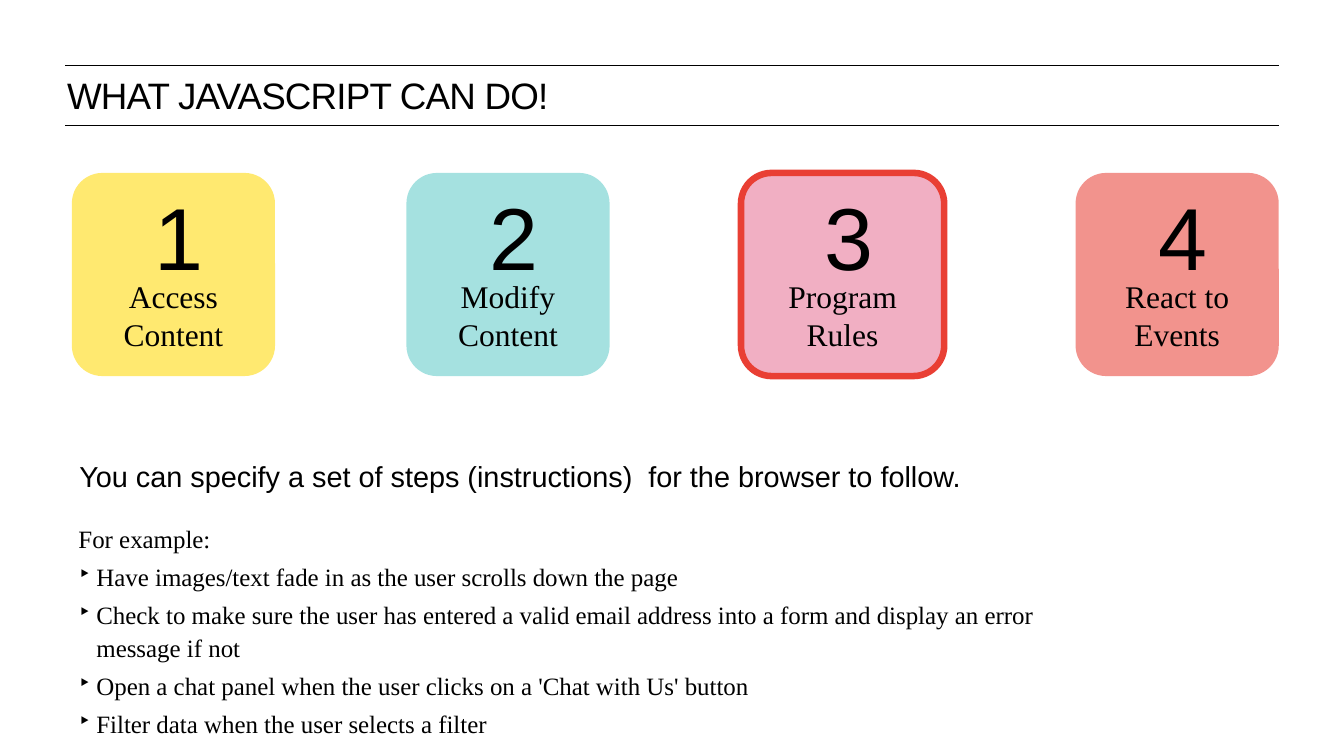
from lxml import etree
from pptx import Presentation
from pptx.dml.color import RGBColor
from pptx.enum import shapes, text
from pptx.oxml import ns
from pptx.util import Inches, Pt

BLACK = RGBColor(0x00, 0x00, 0x00)
YELLOW = RGBColor(0xFF, 0xD8, 0x00)
TEAL = RGBColor(0x5F, 0xCB, 0xC8)
PINK = RGBColor(0xF1, 0xAF, 0xC3)
RED = RGBColor(0xE9, 0x3F, 0x34)
SANS, SERIF = "Arial", "Times New Roman"

RULE_LEFT, RULE_RIGHT = 0.69, 13.53
CARD_LEFT, CARD_TOP, CARD_SIZE, CARD_PITCH = 0.76, 1.83, 2.15, 3.54
CAPTION_WIDTH = 1.57
CENTERED = {"alignment": text.PP_ALIGN.CENTER}
BULLETED = {"level": 1, "line_spacing": 1.1, "space_before": Pt(4)}

ABILITIES = [
    (["Access", "Content"], YELLOW, False),
    (["Modify", "Content"], TEAL, False),
    (["Program", "Rules"], PINK, True),
    (["React to", "Events"], RED, False),
]
EXAMPLES = [
    "Have images/text fade in as the user scrolls down the page",
    "Check to make sure the user has entered a valid email address into a form "
    "and display an error message if not",
    "Open a chat panel when the user clicks on a 'Chat with Us' button",
    "Filter data when the user selects a filter",
]


def apply(target, values):
    for name, value in values.items():
        setattr(target, name, value)


def add_rule(slide, top):
    rule = slide.shapes.add_connector(
        shapes.MSO_CONNECTOR.STRAIGHT,
        Inches(RULE_LEFT), Inches(top), Inches(RULE_RIGHT), Inches(top))
    rule.line.color.rgb = BLACK
    rule.line.width = Pt(1)
    etree.SubElement(rule._element.spPr, ns.qn("a:effectLst"))


def add_text(slide, box, lines, size, font, inset=0.06, wrap=True,
             anchor=text.MSO_ANCHOR.MIDDLE, paragraph_format=None):
    frame = slide.shapes.add_textbox(*map(Inches, box)).text_frame
    apply(frame, {
        "word_wrap": wrap,
        "auto_size": text.MSO_AUTO_SIZE.SHAPE_TO_FIT_TEXT,
        "vertical_anchor": anchor,
    })
    apply(frame, dict.fromkeys(
        ["margin_left", "margin_top", "margin_right", "margin_bottom"], Inches(inset)))
    for index, line in enumerate(lines):
        paragraph = frame.add_paragraph() if index else frame.paragraphs[0]
        apply(paragraph, paragraph_format or {})
        run = paragraph.add_run()
        run.text = line
        apply(run.font, {"size": Pt(size), "name": font})
        run.font.color.rgb = BLACK
    return frame


def add_bullet(paragraph):
    apply(paragraph, BULLETED)
    properties = paragraph._p.get_or_add_pPr()
    properties.set("marL", str(Inches(0.19)))
    properties.set("indent", str(Inches(-0.19)))
    etree.SubElement(properties, ns.qn("a:buSzPct"), val="85000")
    etree.SubElement(properties, ns.qn("a:buChar"), char="‣")


def add_card(slide, left, color, highlighted):
    """Draw a rounded card: solid and outlined if highlighted, else translucent."""
    card = slide.shapes.add_shape(
        shapes.MSO_SHAPE.ROUNDED_RECTANGLE,
        Inches(left), Inches(CARD_TOP), Inches(CARD_SIZE), Inches(CARD_SIZE))
    card.adjustments[0] = 0.15
    card.shadow.inherit = False
    card.fill.solid()
    card.fill.fore_color.rgb = color
    if highlighted:
        card.line.color.rgb = RED
        card.line.width = Pt(5)
    else:
        card.line.fill.background()
        tint = card._element.spPr.find(".//" + ns.qn("a:srgbClr"))
        etree.SubElement(tint, ns.qn("a:alpha"), val="56000")


def add_ability(slide, index, caption, color, highlighted):
    left = CARD_LEFT + index * CARD_PITCH
    add_card(slide, left, color, highlighted)
    caption_left = left + (CARD_SIZE - CAPTION_WIDTH) / 2
    add_text(slide, (caption_left, 2.94, CAPTION_WIDTH, 0.78), caption, 24, SERIF,
             wrap=False, paragraph_format=CENTERED)
    add_text(slide, (left + 0.82, 1.97, 0.53, 1.04), [str(index + 1)], 67, SANS,
             wrap=False)


def add_title(slide):
    frame = add_text(slide, (0.71, 0.79, 8.44, 0.45), ["WHAT JAVASCRIPT CAN DO!"],
                     28, SANS, inset=0, anchor=text.MSO_ANCHOR.TOP,
                     paragraph_format={"line_spacing": Pt(32)})
    frame.paragraphs[0].runs[0].font._element.set("spc", "-60")


def add_examples(slide):
    frame = add_text(slide, (0.83, 5.54, 10.75, 2.06), ["For example:", *EXAMPLES],
                     19, SERIF, inset=0, anchor=text.MSO_ANCHOR.TOP)
    for paragraph in frame.paragraphs[1:]:
        add_bullet(paragraph)


def main():
    deck = Presentation()
    deck.slide_width, deck.slide_height = Inches(14.22), Inches(7.99)
    slide = deck.slides.add_slide(deck.slide_layouts[6])
    for top in (0.69, 1.33):
        add_rule(slide, top)
    add_title(slide)
    for index, ability in enumerate(ABILITIES):
        add_ability(slide, index, *ability)
    add_examples(slide)
    add_text(slide, (0.78, 4.83, 11.59, 0.42),
             ["You can specify a set of steps (instructions)  for the browser to follow."],
             22, SANS)
    deck.save("out.pptx")


if __name__ == "__main__":
    main()
